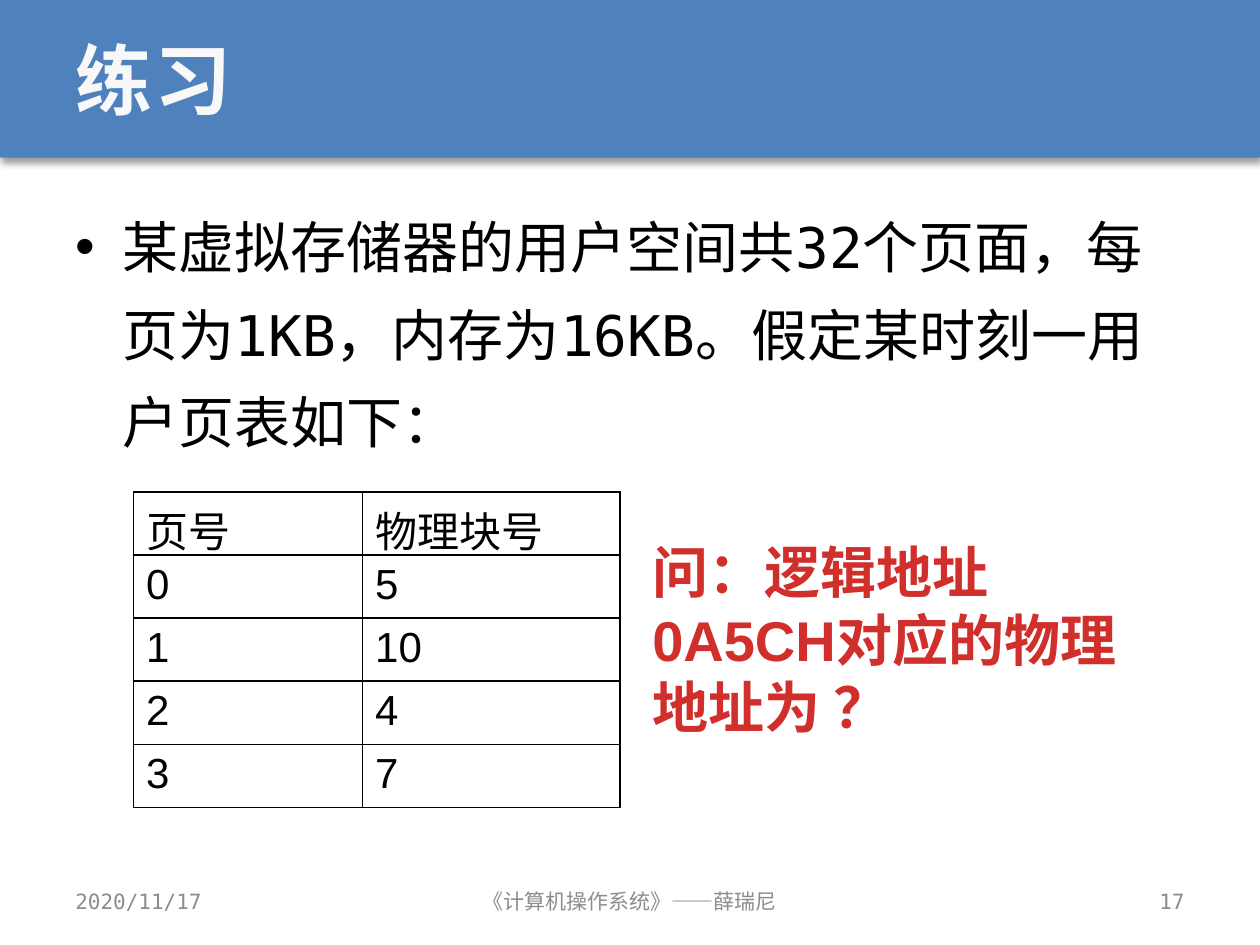
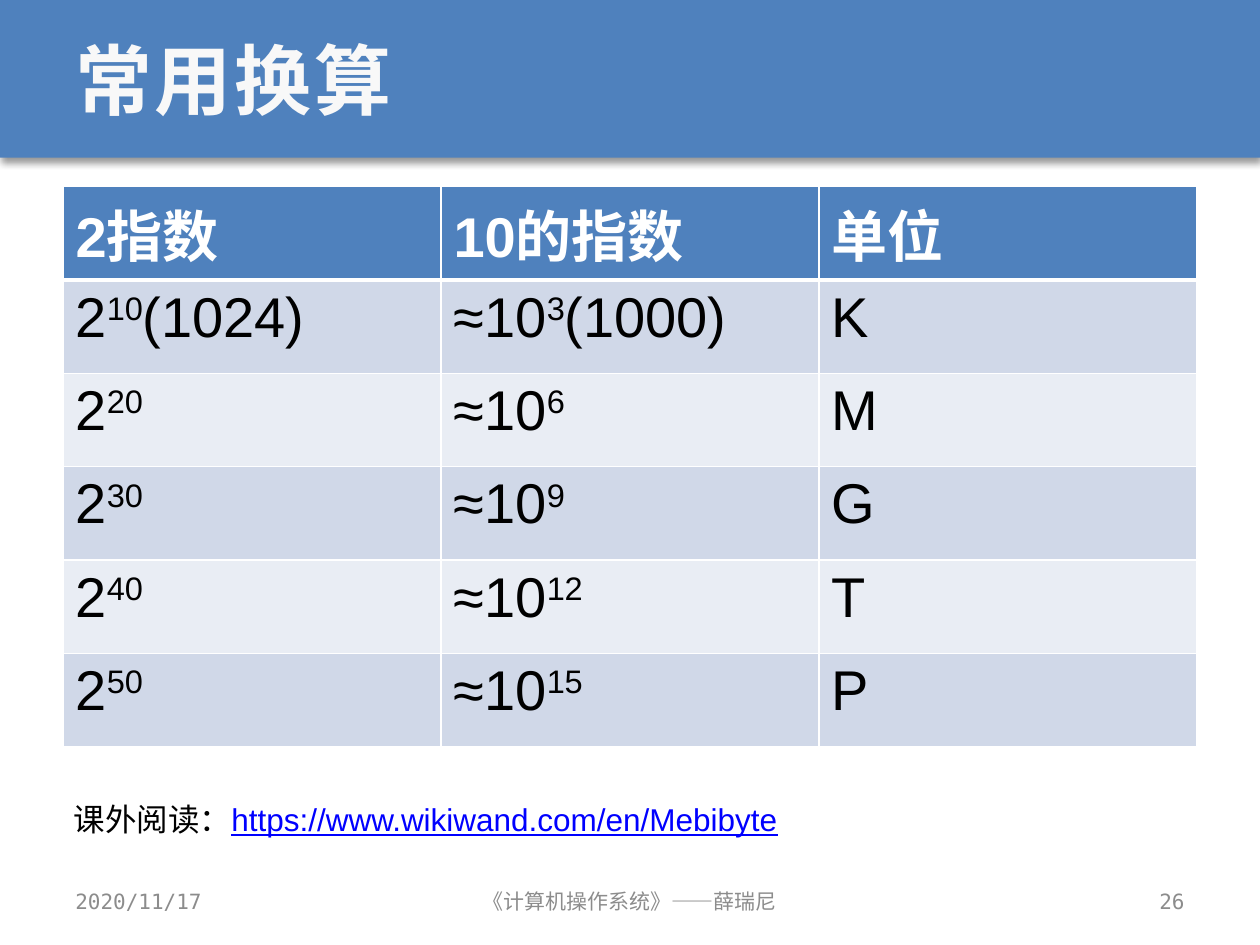
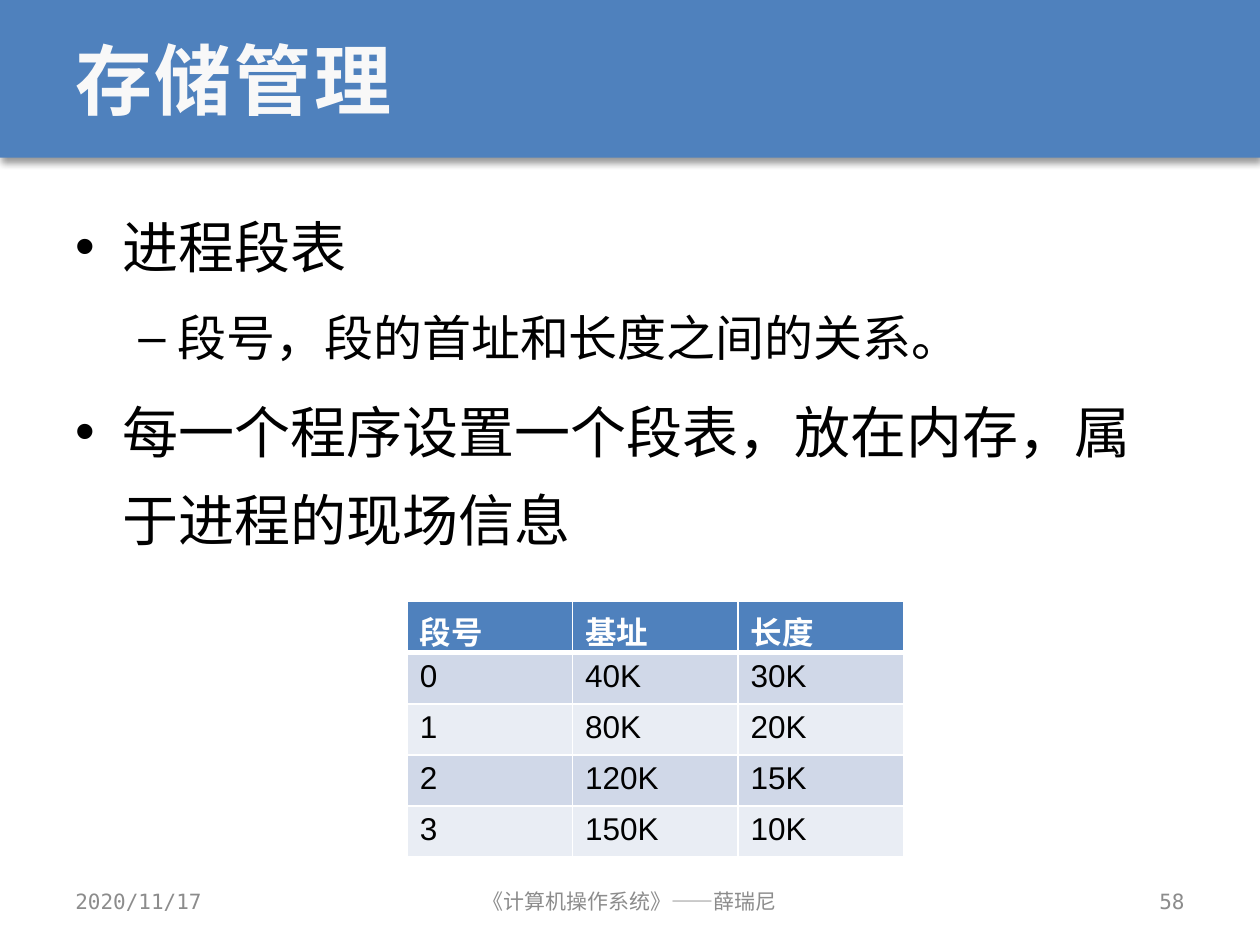
from dataclasses import dataclass

from lxml.etree import SubElement
from pptx import Presentation
from pptx.dml.color import RGBColor as RGB
from pptx.enum.lang import MSO_LANGUAGE_ID as Lang
from pptx.enum.shapes import MSO_SHAPE as Shape
from pptx.enum.text import MSO_ANCHOR as Anchor, PP_ALIGN as Align
from pptx.oxml.ns import qn
from pptx.util import Cm, Pt


@dataclass(frozen=True)
class Theme:
    blue: str = "4F81BD"
    band_dark: str = "D0D8E8"
    band_light: str = "E9EDF4"
    title_ink: str = "F8F8F8"
    ink: str = "000000"
    paper: str = "FFFFFF"
    red: str = "D02F2C"
    link: str = "0000FF"
    grey: str = "8C8C8C"
    mono: str = "DejaVu Sans Mono"
    sans: str = "Arial"
    title_size: int = 44
    body_sizes: tuple = (32, 28)
    question_size: int = 32
    note_size: int = 18
    footer_size: int = 12


@dataclass(frozen=True)
class Box:
    """A region of the slide, in centimetres."""
    left: float
    top: float
    width: float
    height: float

    def emu(self):
        return Cm(self.left), Cm(self.top), Cm(self.width), Cm(self.height)


T = Theme()
SLIDE = Box(0, 0, 25.4, 19.05)
BAND = Box(0, 0, SLIDE.width, 3.18)
BODY = Box(1.27, 3.76, 22.86, 13.54)
FOOTER = Box(1.27, 17.65, 22.86, 1.02)

# Marker, left margin and hanging indent of each outline level
LEVELS = (("•", 0.95, 0.95), ("–", 2.06, 0.79))


def add_run(p, text, size, color, font=T.sans, bold=False):
    r = p.add_run()
    r.text = text
    f = r.font
    f.size, f.bold, f.name = Pt(size), bold, font
    f.color.rgb = RGB.from_string(color)
    f.language_id = Lang.SIMPLIFIED_CHINESE
    return r


def add_text_frame(slide, box, anchor=Anchor.TOP):
    tf = slide.shapes.add_textbox(*box.emu()).text_frame
    tf.word_wrap = True
    tf.vertical_anchor = anchor
    return tf


def add_shadow(sp):
    sp.shadow.inherit = False
    effects = sp._element.spPr.find(qn("a:effectLst"))
    shadow = SubElement(effects, qn("a:outerShdw"), blurRad=str(Pt(4)),
                        dist=str(Pt(3)), dir="5400000", rotWithShape="0")
    color = SubElement(shadow, qn("a:srgbClr"), val=T.ink)
    SubElement(color, qn("a:alpha"), val="40000")


def add_title_band(slide, box, title):
    sp = slide.shapes.add_shape(Shape.RECTANGLE, *box.emu())
    sp.fill.solid()
    sp.fill.fore_color.rgb = RGB.from_string(T.blue)
    sp.line.fill.background()
    add_shadow(sp)
    inner = Box(BODY.left, box.top, BODY.width, box.height)
    p = add_text_frame(slide, inner, Anchor.MIDDLE).paragraphs[0]
    r = add_run(p, title, T.title_size, T.title_ink, T.mono, bold=True)
    r._r.get_or_add_rPr().set("spc", "150")


def add_footer(slide, box, number):
    side, middle = 5.92, 8.05
    parts = (
        (0, side, Align.LEFT, "2020/11/17"),
        ((box.width - middle) / 2, middle, Align.CENTER, "《计算机操作系统》——薛瑞尼"),
        (box.width - side, side, Align.RIGHT, str(number)),
    )
    for offset, width, align, text in parts:
        part = Box(box.left + offset, box.top, width, box.height)
        p = add_text_frame(slide, part, Anchor.MIDDLE).paragraphs[0]
        p.alignment = align
        add_run(p, text, T.footer_size, T.grey, T.mono)


def add_outline(slide, box, items):
    """Bulleted text from (level, text) pairs."""
    tf = add_text_frame(slide, box)
    for i, (level, text) in enumerate(items):
        p = tf.add_paragraph() if i else tf.paragraphs[0]
        marker, margin, hang = LEVELS[level]
        size = T.body_sizes[level]
        pPr = p._p.get_or_add_pPr()
        pPr.set("marL", str(Cm(margin)))
        pPr.set("indent", str(-Cm(hang)))
        SubElement(pPr, qn("a:buFont"), typeface=T.sans)
        SubElement(pPr, qn("a:buChar"), char=marker)
        p.level = level
        p.line_spacing = 1.3
        if i:
            p.space_before = Pt(size * 0.2)
        add_run(p, text, size, T.ink, T.mono)


def set_borders(cell, color, top=1, bottom=1):
    tcPr = cell._tc.get_or_add_tcPr()
    for side, width in (("L", 1), ("R", 1), ("T", top), ("B", bottom)):
        ln = SubElement(tcPr, qn(f"a:ln{side}"), w=str(Pt(width)))
        fill = SubElement(ln, qn("a:solidFill"))
        SubElement(fill, qn("a:srgbClr"), val=color)


def write_cell(cell, text, size, color, bold):
    """Text between carets is raised."""
    p = cell.text_frame.paragraphs[0]
    for i, piece in enumerate(text.split("^")):
        if piece:
            r = add_run(p, piece, size, color, bold=bold)
            if i % 2:
                r._r.get_or_add_rPr().set("baseline", "30000")


def add_grid(slide, box, rows, size, widths=None, banded=True):
    """Table with a blue header and bands, or with plain black rules."""
    n = len(rows[0])
    table = slide.shapes.add_table(len(rows), n, *box.emu()).table
    table.first_row = table.horz_banding = False
    for column, width in zip(table.columns, widths or [box.width / n] * n):
        column.width = Cm(width)
    for i, row in enumerate(rows):
        table.rows[i].height = Cm(box.height / len(rows))
        header = banded and i == 0
        for j, text in enumerate(row):
            cell = table.cell(i, j)
            if banded:
                set_borders(cell, T.paper, top=3 if i == 1 else 1, bottom=3 if header else 1)
                fill = T.blue if header else (T.band_light, T.band_dark)[i % 2]
                cell.fill.solid()
                cell.fill.fore_color.rgb = RGB.from_string(fill)
            else:
                set_borders(cell, T.ink)
                cell.fill.background()
            write_cell(cell, text, size, T.paper if header else T.ink, header)


def add_question(slide, box, text):
    p = add_text_frame(slide, box).paragraphs[0]
    add_run(p, text, T.question_size, T.red, bold=True)


def add_reading_note(slide, box, label, address):
    p = add_text_frame(slide, box).paragraphs[0]
    add_run(p, label, T.note_size, T.ink)
    add_run(p, address, T.note_size, T.link).font.underline = True


def new_slide(prs, title, number):
    slide = prs.slides.add_slide(prs.slide_layouts[6])
    add_title_band(slide, BAND, title)
    add_footer(slide, FOOTER, number)
    return slide


def exercise_slide(prs):
    slide = new_slide(prs, "练习", 17)
    add_outline(slide, BODY, [
        (0, "某虚拟存储器的用户空间共32个页面，每页为1KB，内存为16KB。假定某时刻一用户页表如下："),
    ])
    pages = [("页号", "物理块号"), ("0", "5"), ("1", "10"), ("2", "4"), ("3", "7")]
    add_grid(slide, Box(2.69, 9.92, 9.81, 5.2), pages, 24, widths=(4.62, 5.19), banded=False)
    add_question(slide, Box(12.9, 10.72, 10.8, 4.37), "问：逻辑地址0A5CH对应的物理地址为 ？")


def conversion_slide(prs):
    slide = new_slide(prs, "常用换算", 26)
    rows = [("2指数", "10的指数", "单位")]
    for k, unit in enumerate("KMGTP", start=1):
        exact, rounded = ("(1024)", "(1000)") if k == 1 else ("", "")
        rows.append((f"2^{10 * k}^{exact}", f"≈10^{3 * k}^{rounded}", unit))
    add_grid(slide, Box(BODY.left, BODY.top, BODY.width, 11.3), rows, 32)
    add_reading_note(slide, Box(1.24, 16, 14.83, 1.02),
                     "课外阅读：", "https://www.wikiwand.com/en/Mebibyte")


def segment_slide(prs):
    slide = new_slide(prs, "存储管理", 58)
    add_outline(slide, BODY, [
        (0, "进程段表"),
        (1, "段号，段的首址和长度之间的关系。"),
        (0, "每一个程序设置一个段表，放在内存，属于进程的现场信息"),
    ])
    segments = [("段号", "基址", "长度"), ("0", "40K", "30K"), ("1", "80K", "20K"),
                ("2", "120K", "15K"), ("3", "150K", "10K")]
    add_grid(slide, Box(8.21, 12.13, 10, 5.15), segments, 18)


def main():
    prs = Presentation()
    prs.slide_width, prs.slide_height = Cm(SLIDE.width), Cm(SLIDE.height)
    exercise_slide(prs)
    conversion_slide(prs)
    segment_slide(prs)
    prs.save("out.pptx")


if __name__ == "__main__":
    main()
